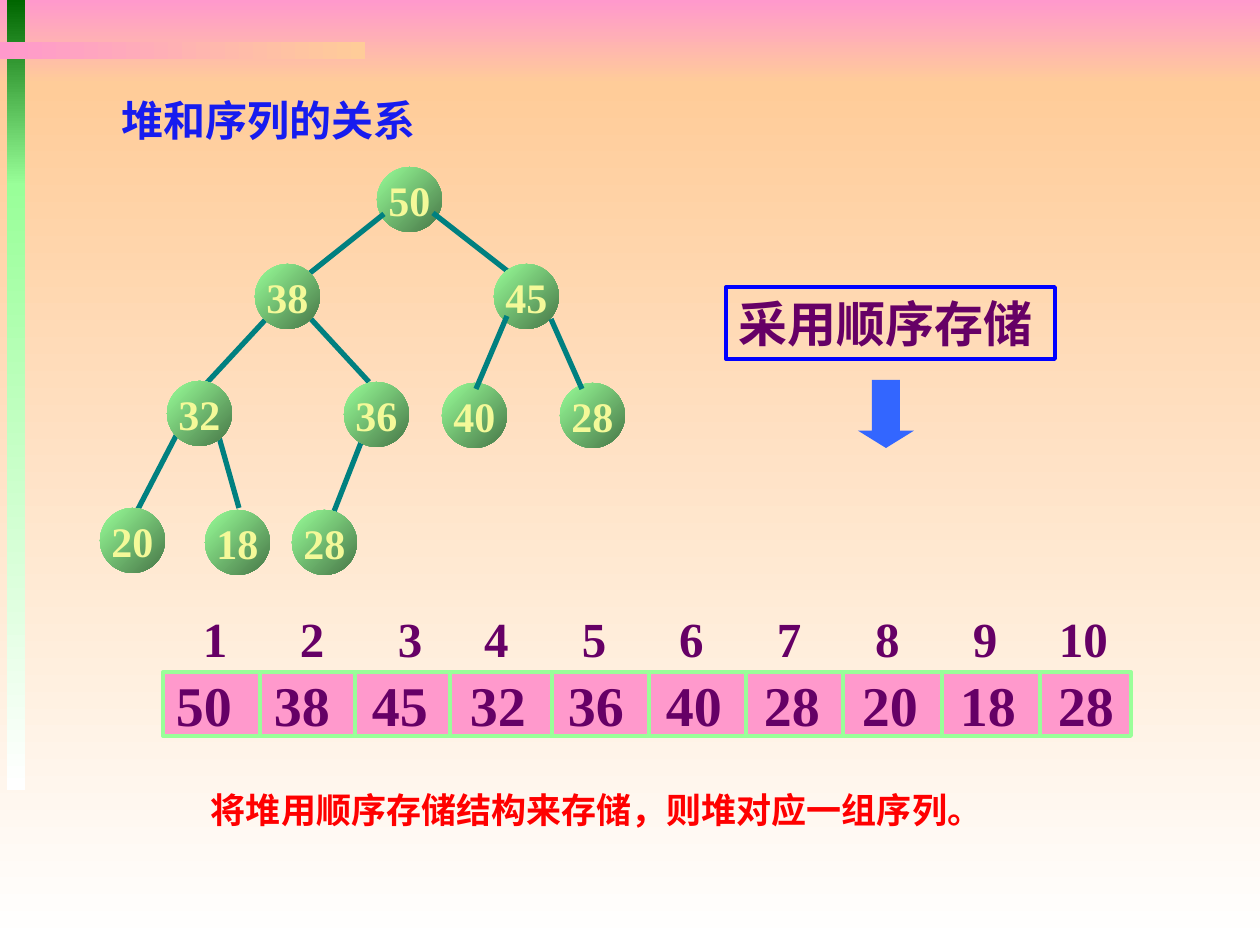
from lxml import etree
from pptx import Presentation
from pptx.dml.color import RGBColor
from pptx.enum.shapes import MSO_CONNECTOR, MSO_SHAPE
from pptx.enum.text import MSO_ANCHOR, PP_ALIGN
from pptx.oxml.ns import qn
from pptx.util import Emu, Pt

RECT, OVAL, DOWN = MSO_SHAPE.RECTANGLE, MSO_SHAPE.OVAL, MSO_SHAPE.DOWN_ARROW
STRAIGHT = MSO_CONNECTOR.STRAIGHT
TOP, MIDDLE = MSO_ANCHOR.TOP, MSO_ANCHOR.MIDDLE
LEFT, CENTER = PP_ALIGN.LEFT, PP_ALIGN.CENTER

PINK = RGBColor(0xFF, 0x99, 0xCC)
PEACH = RGBColor(0xFF, 0xCC, 0x99)
WHITE = RGBColor(0xFF, 0xFF, 0xFF)
DARK_GREEN = RGBColor(0x00, 0x66, 0x00)
LIGHT_GREEN = RGBColor(0x99, 0xFF, 0x99)
MOSS = RGBColor(0x47, 0x76, 0x47)
TEAL = RGBColor(0x00, 0x80, 0x80)
YELLOW = RGBColor(0xF4, 0xF9, 0x99)
TITLE_BLUE = RGBColor(0x17, 0x1C, 0xEF)
BLUE = RGBColor(0x00, 0x00, 0xFF)
ARROW_BLUE = RGBColor(0x33, 0x66, 0xFF)
PURPLE = RGBColor(0x66, 0x00, 0x66)
RED = RGBColor(0xFF, 0x00, 0x00)

SERIF, SANS, CJK = "Times New Roman", "Arial", "Noto Sans CJK SC"
PX_PER_INCH = 126
NODE_SIZE = 65


def px(n):
    return Emu(round(n * 914400 / PX_PER_INCH))


def set_text(sp, text, size, color, font=SERIF, align=LEFT, anchor=MIDDLE,
             insets=(13, 6, 13, 6), wrap=True, tabs=()):
    tf = sp.text_frame
    left, top, right, bottom = map(px, insets)
    frame = {"word_wrap": wrap, "vertical_anchor": anchor, "margin_left": left,
             "margin_top": top, "margin_right": right, "margin_bottom": bottom}
    for name, value in frame.items():
        setattr(tf, name, value)
    p = tf.paragraphs[0]
    p.alignment = align
    if tabs:
        tab_list = etree.SubElement(p._p.get_or_add_pPr(), qn("a:tabLst"))
        for pos in tabs:
            etree.SubElement(tab_list, qn("a:tab"), pos=str(px(pos)), algn="l")
    r = p.add_run()
    r.text = text
    for name, value in {"size": Pt(size), "bold": True, "name": font}.items():
        setattr(r.font, name, value)
    r.font.color.rgb = color
    etree.SubElement(r._r.get_or_add_rPr(), qn("a:ea"), typeface=CJK)


def add_shape(s, kind, box, fill=None, line=None):
    sp = s.shapes.add_shape(kind, *map(px, box))
    sp.shadow.inherit = False
    if fill is None:
        sp.fill.background()
    else:
        sp.fill.solid()
        sp.fill.fore_color.rgb = fill
    if line is None:
        sp.line.fill.background()
    else:
        sp.line.color.rgb = line
        sp.line.width = Pt(2.25)
    return sp


def add_gradient(s, kind, box, start, end, angle):
    sp = add_shape(s, kind, box)
    sp.fill.gradient()
    sp.fill.gradient_angle = -angle % 360
    for stop, color in zip(sp.fill.gradient_stops, (start, end)):
        stop.color.rgb = color
    return sp


def add_line(s, x1, y1, x2, y2, color, width):
    line = s.shapes.add_connector(STRAIGHT, *map(px, (x1, y1, x2, y2)))
    line.line.color.rgb = color
    line.line.width = Pt(width)
    etree.SubElement(line._element.spPr, qn("a:effectLst"))


def add_text(s, box, text, size, color, **options):
    set_text(s.shapes.add_textbox(*map(px, box)), text, size, color, **options)


def draw_backdrop(s, w, h):
    bands = [
        ((0, 0, w, 84), PINK, PEACH, 90),
        ((0, 84, w, h - 84), PEACH, WHITE, 90),
        ((7, 0, 18, 186), DARK_GREEN, LIGHT_GREEN, 90),
        ((7, 184, 18, 606), LIGHT_GREEN, WHITE, 90),
        ((0, 42, 365, 17), PINK, PEACH, 0),
    ]
    for box, start, end, angle in bands:
        add_gradient(s, RECT, box, start, end, angle)


def place_title(s, box):
    title = s.shapes.title
    title.left, title.top, title.width, title.height = map(px, box)
    set_text(title, "堆和序列的关系", 24, TITLE_BLUE, font=CJK, anchor=TOP)
    title.element.getparent().append(title.element)


def draw_heap(s, x, y):
    nodes = [(50, 277, 0), (38, 155, 97), (45, 394, 97), (40, 342, 216),
             (28, 460, 216), (36, 244, 215), (32, 67, 214), (20, 0, 341),
             (18, 105, 343), (28, 192, 343)]
    back_edges = [(284, 47, 210, 106), (167, 151, 102, 221), (210, 151, 269, 215),
                  (78, 265, 36, 346), (262, 273, 226, 365), (119, 270, 139, 341),
                  (333, 46, 410, 106)]
    front_edges = [(407, 149, 376, 222), (451, 152, 482, 222)]

    def draw_nodes(group):
        for value, dx, dy in group:
            box = (x + dx, y + dy, NODE_SIZE, NODE_SIZE)
            sp = add_gradient(s, OVAL, box, LIGHT_GREEN, MOSS, 45)
            set_text(sp, str(value), 24, YELLOW, align=CENTER,
                     insets=(0, 0, 0, 0), wrap=False)

    def draw_edges(group):
        for x1, y1, x2, y2 in group:
            add_line(s, x + x1, y + y1, x + x2, y + y2, TEAL, 3)

    draw_nodes(nodes[:1])
    draw_edges(back_edges)
    draw_nodes(nodes[1:])
    draw_edges(front_edges)


def draw_storage(s, x, y, w, h):
    label = add_shape(s, RECT, (x, y, w, h), line=BLUE)
    set_text(label, "采用顺序存储", 28, PURPLE)
    arrow = add_shape(s, DOWN, (x + 132, y + h + 21, 56, 68), fill=ARROW_BLUE)
    arrow.adjustments[1] = 0.31


def draw_array(s, x, y, w, h):
    values = [50, 38, 45, 32, 36, 40, 28, 20, 18, 28]
    dividers = [97, 192, 287, 389, 486, 583, 680, 779, 877]
    index_tabs = [97, 195, 281, 379, 476, 574, 672, 770, 856]
    value_tabs = [98 * i for i in range(1, len(values))]

    row = add_shape(s, RECT, (x, y, w, h), fill=PINK, line=LIGHT_GREEN)
    set_text(row, "\t".join(map(str, values)), 32, PURPLE,
             insets=(13, 0, 0, 0), tabs=value_tabs)
    for dx in dividers:
        add_line(s, x + dx, y, x + dx, y + h - 2, LIGHT_GREEN, 2.25)
    indexes = "\t".join(str(i) for i in range(1, len(values) + 1))
    add_text(s, (x + 27, y - 63, 953, 59), indexes, 28, PURPLE, anchor=TOP,
             insets=(13, 0, 13, 0), tabs=index_tabs)


def main():
    prs = Presentation()
    prs.slide_width, prs.slide_height = px(1260), px(945)
    s = prs.slides.add_slide(prs.slide_layouts[5])
    draw_backdrop(s, 1260, 945)
    place_title(s, (109, 88, 441, 63))
    draw_heap(s, 100, 167)
    draw_storage(s, 726, 287, 329, 72)
    draw_array(s, 163, 672, 968, 64)
    add_text(s, (198, 782, 871, 55), "将堆用顺序存储结构来存储，则堆对应一组序列。",
             20, RED, font=SANS, anchor=TOP)
    prs.save("out.pptx")


if __name__ == "__main__":
    main()
